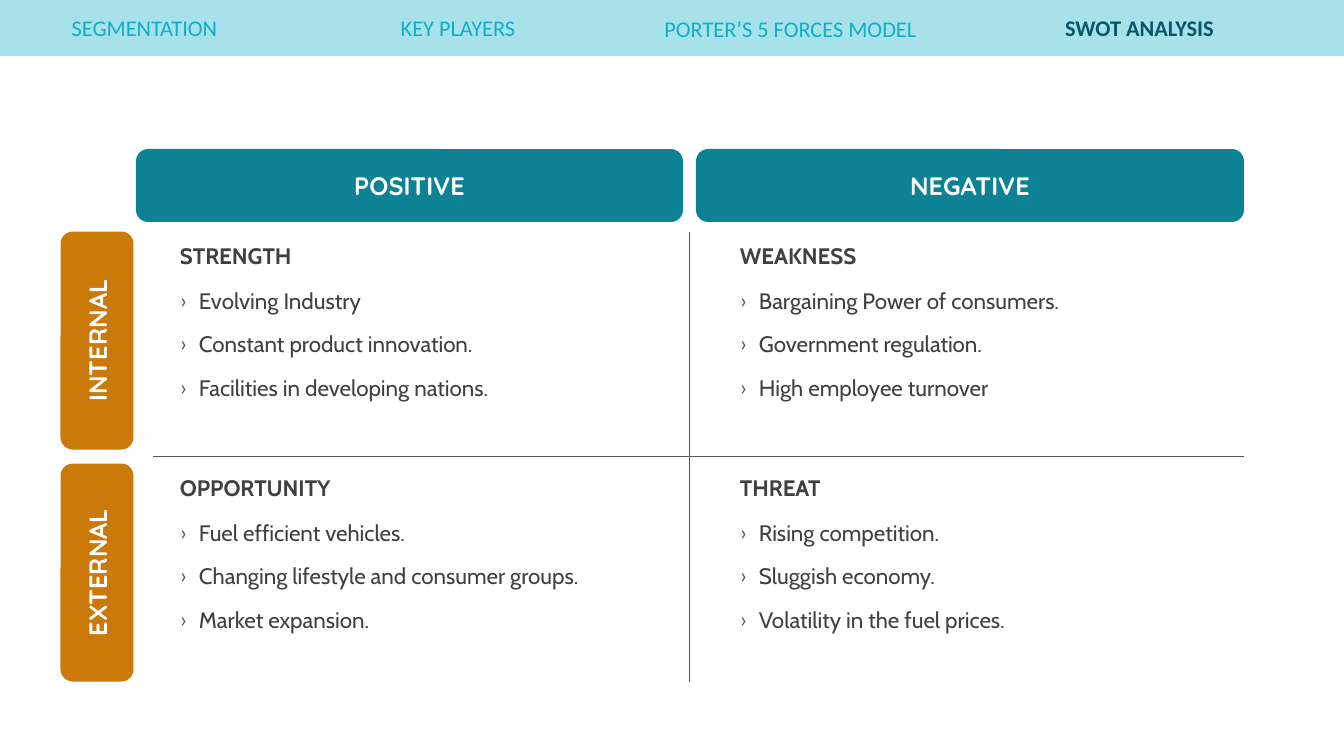
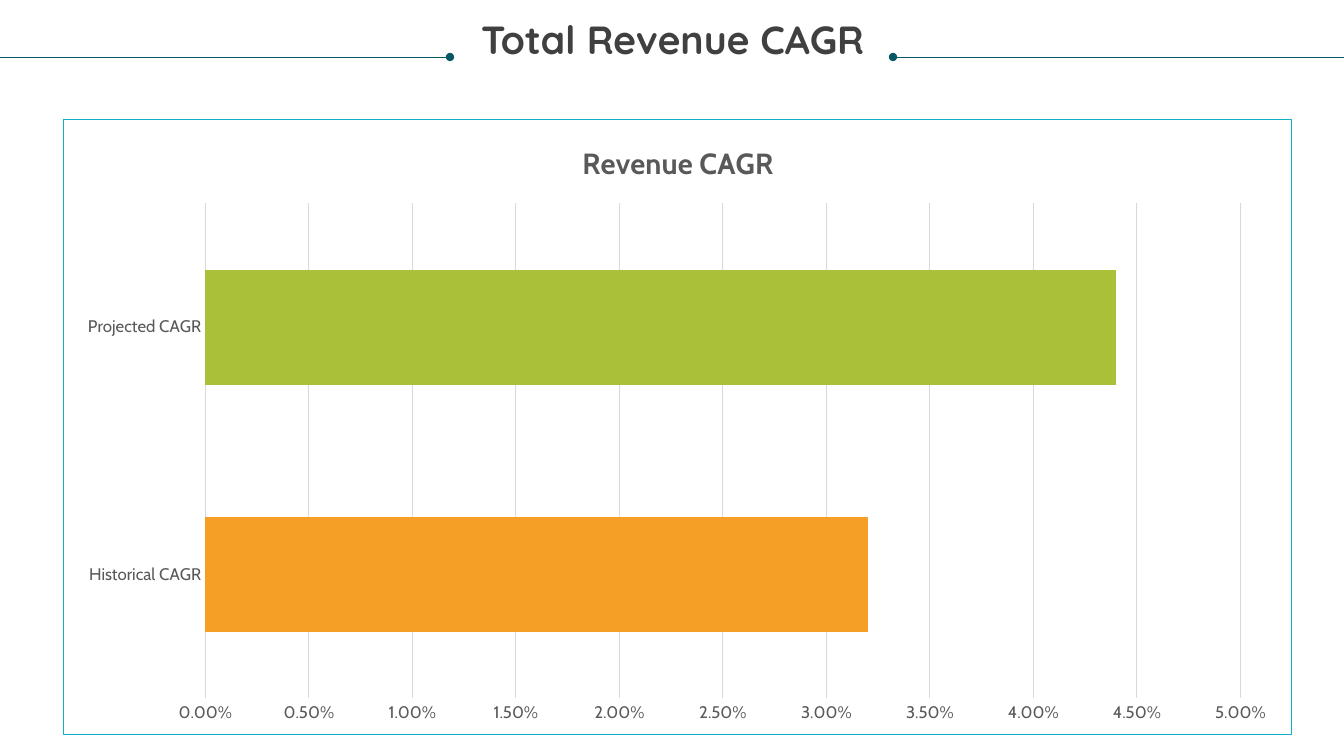
from lxml.etree import SubElement
from pptx import Presentation
from pptx.chart.data import CategoryChartData
from pptx.dml.color import RGBColor
from pptx.enum.chart import XL_CHART_TYPE, XL_TICK_MARK
from pptx.enum.shapes import MSO_CONNECTOR, MSO_SHAPE
from pptx.enum.text import MSO_ANCHOR, MSO_AUTO_SIZE, PP_ALIGN
from pptx.oxml import parse_xml
from pptx.oxml.ns import nsdecls, qn
from pptx.util import Emu, Pt

PIXEL = 914400 / 100.8
WIDTH, HEIGHT = 1344, 756

AQUA = RGBColor(0x11, 0xAE, 0xC7)
TEAL = RGBColor(0x0D, 0x82, 0x95)
DEEP_TEAL = RGBColor(0x08, 0x57, 0x64)
OCHRE = RGBColor(0xCB, 0x7A, 0x09)
ORANGE = RGBColor(0xF5, 0x9F, 0x26)
GREEN = RGBColor(0xA9, 0xC0, 0x38)
INK = RGBColor(0x40, 0x40, 0x40)
RULE_GRAY = RGBColor(0x58, 0x58, 0x58)
CHART_GRAY = RGBColor(0x59, 0x59, 0x59)
GRID_GRAY = RGBColor(0xD9, 0xD9, 0xD9)
WHITE = RGBColor(0xFF, 0xFF, 0xFF)

NAVIGATION_FONT, HEADING_FONT, BODY_FONT = "Calibri", "Quicksand", "Cabin"


def write_text(shape, lines, *, font=BODY_FONT, size=16, color=INK, bold=False,
               align=PP_ALIGN.LEFT, anchor=MSO_ANCHOR.TOP, inset=0, bullet=None):
    """Fill a shape with one formatted paragraph per line."""
    frame = shape.text_frame
    frame.word_wrap = True
    frame.auto_size = MSO_AUTO_SIZE.NONE
    frame.vertical_anchor = anchor
    frame.margin_left = frame.margin_right = Emu(round(2 * inset * PIXEL))
    frame.margin_top = frame.margin_bottom = Emu(round(inset * PIXEL))
    frame.text = "\n".join(lines)
    for paragraph in frame.paragraphs:
        paragraph.alignment = align
        text_font = paragraph.runs[0].font
        text_font.name, text_font.size, text_font.bold = font, Pt(size), bold
        text_font.color.rgb = color
        if bullet:
            paragraph.space_before = Pt(12)
            properties = paragraph._p.get_or_add_pPr()
            indent = round(19 * PIXEL)
            properties.set("marL", str(indent))
            properties.set("indent", str(-indent))
            bullet_color = SubElement(properties, qn("a:buClr"))
            SubElement(bullet_color, qn("a:srgbClr"), val=str(RULE_GRAY))
            SubElement(properties, qn("a:buFont"), typeface=NAVIGATION_FONT)
            SubElement(properties, qn("a:buChar"), char=bullet)


def add_line(slide, start, end, color, tail=None):
    """Draw a thin straight line, with an optional marker at its end."""
    points = [Emu(round(value * PIXEL)) for value in (*start, *end)]
    line = slide.shapes.add_connector(MSO_CONNECTOR.STRAIGHT, *points)
    line.line.color.rgb = color
    line.line.width = Pt(0.5)
    if tail:
        SubElement(line.line._get_or_add_ln(), qn("a:tailEnd"), type=tail)
    SubElement(line._element.spPr, qn("a:effectLst"))


presentation = Presentation()
presentation.slide_width = Emu(round(WIDTH * PIXEL))
presentation.slide_height = Emu(round(HEIGHT * PIXEL))
title_only_layout, blank_layout = presentation.slide_layouts[5], presentation.slide_layouts[6]

# SWOT analysis
swot_slide = presentation.slides.add_slide(blank_layout)
shapes = swot_slide.shapes

band = shapes.add_shape(MSO_SHAPE.RECTANGLE, 0, 0, presentation.slide_width,
                        Emu(round(56 * PIXEL)))
band.shadow.inherit = False
band.fill.solid()
band.fill.fore_color.rgb = AQUA
band.line.fill.background()
band_color = band._element.spPr.find(qn("a:solidFill")).find(qn("a:srgbClr"))
SubElement(band_color, qn("a:alpha"), val="37000")

NAVIGATION = [
    ("SEGMENTATION", 60, 9, 169),
    ("KEY PLAYERS", 288, 9, 340),
    ("PORTER’S 5 FORCES MODEL", 646, 10, 289),
    ("SWOT ANALYSIS", 1001, 9, 277),
]
for label, left, top, width in NAVIGATION:
    current = label == "SWOT ANALYSIS"
    box = shapes.add_textbox(*(Emu(round(value * PIXEL)) for value in (left, top, width, 37)))
    write_text(box, [label], font=NAVIGATION_FONT, color=DEEP_TEAL if current else AQUA,
               bold=current, align=PP_ALIGN.CENTER, inset=5)

HEADERS = [
    ("POSITIVE", (136, 149, 547, 73), TEAL, 0),
    ("NEGATIVE", (696, 149, 548, 73), TEAL, 0),
    ("INTERNAL", (-12, 304, 218, 73), OCHRE, 270),
    ("EXTERNAL", (-12, 536, 218, 73), OCHRE, 270),
]
for label, bounds, color, rotation in HEADERS:
    header = shapes.add_shape(MSO_SHAPE.ROUNDED_RECTANGLE,
                              *(Emu(round(value * PIXEL)) for value in bounds))
    header.rotation = rotation
    header.shadow.inherit = False
    header.fill.solid()
    header.fill.fore_color.rgb = color
    header.line.fill.background()
    write_text(header, [label], font=HEADING_FONT, size=18, color=WHITE, bold=True,
               align=PP_ALIGN.CENTER, anchor=MSO_ANCHOR.MIDDLE, inset=5)

add_line(swot_slide, (153, 456), (1244, 456), RULE_GRAY)
add_line(swot_slide, (689, 232), (689, 682), RULE_GRAY)

QUADRANTS = [
    ("STRENGTH", ["Evolving Industry", "Constant product innovation.",
                  "Facilities in developing nations."]),
    ("WEAKNESS", ["Bargaining Power of consumers.", "Government regulation.",
                  "High employee turnover"]),
    ("OPPORTUNITY", ["Fuel efficient vehicles.", "Changing lifestyle and consumer groups.",
                     "Market expansion."]),
    ("THREAT", ["Rising competition.", "Sluggish economy.", "Volatility in the fuel prices."]),
]
for index, (heading, points) in enumerate(QUADRANTS):
    row, column = divmod(index, 2)
    left, top = 180 + 560 * column, 242 + 232 * row
    heading_box = shapes.add_textbox(
        *(Emu(round(value * PIXEL)) for value in (left, top, 459, 27)))
    write_text(heading_box, [heading], bold=True)
    points_box = shapes.add_textbox(
        *(Emu(round(value * PIXEL)) for value in (left, top + 45, 459, 115)))
    write_text(points_box, points, bullet="›")

# Total revenue CAGR
revenue_slide = presentation.slides.add_slide(title_only_layout)
title = revenue_slide.shapes.title
title.left, title.top, title.width, title.height = (
    Emu(round(value * PIXEL)) for value in (26, 21, 1293, 42))
write_text(title, ["Total Revenue CAGR"], font=HEADING_FONT, size=28, bold=True,
           align=PP_ALIGN.CENTER)
title.text_frame.paragraphs[0].line_spacing = 0.9

for edge, end in ((0, 450), (WIDTH, 893)):
    add_line(revenue_slide, (edge, 57), (end, 57), DEEP_TEAL, tail="oval")

chart_data = CategoryChartData(number_format="0.00%")
chart_data.categories = ["Historical CAGR", "Projected CAGR"]
chart_data.add_series("Series 1", [0.032, 0.044])
CHART_LEFT, CHART_TOP, CHART_WIDTH, CHART_HEIGHT = 63, 119, 1229, 616
chart = revenue_slide.shapes.add_chart(
    XL_CHART_TYPE.BAR_CLUSTERED,
    *(Emu(round(value * PIXEL)) for value in (CHART_LEFT, CHART_TOP, CHART_WIDTH, CHART_HEIGHT)),
    chart_data).chart
chart.has_legend = False
chart.font.name = BODY_FONT
chart.font.size = Pt(10)

chart.has_title = True
chart.chart_title.include_in_layout = False
chart.chart_title.text_frame.text = "Revenue CAGR"
title_font = chart.chart_title.text_frame.paragraphs[0].runs[0].font
title_font.name, title_font.size, title_font.bold = BODY_FONT, Pt(20.8), True
title_font.color.rgb = CHART_GRAY

plot = chart.plots[0]
plot.gap_width, plot.overlap, plot.vary_by_categories = 115, -20, False
series = plot.series[0]
for bar_format, color in ((series.format, GREEN), (series.points[0].format, ORANGE)):
    bar_format.fill.solid()
    bar_format.fill.fore_color.rgb = color

category_axis, value_axis = chart.category_axis, chart.value_axis
for axis in (category_axis, value_axis):
    axis.major_tick_mark = axis.minor_tick_mark = XL_TICK_MARK.NONE
    axis_font = axis.tick_labels.font
    axis_font.name, axis_font.size = BODY_FONT, Pt(12)
    axis_font.color.rgb = CHART_GRAY
category_axis.format.line.color.rgb = GRID_GRAY
category_axis.format.line.width = Pt(1)
value_axis.minimum_scale, value_axis.maximum_scale, value_axis.major_unit = 0, 0.05, 0.005
value_axis.tick_labels.number_format = "0.00%"
value_axis.tick_labels.number_format_is_linked = False
value_axis.format.line.fill.background()
value_axis.major_gridlines.format.line.color.rgb = GRID_GRAY
value_axis.major_gridlines.format.line.width = Pt(0.75)

chart.element.find(qn("c:txPr")).addprevious(parse_xml(
    f'<c:spPr {nsdecls("c", "a")}><a:noFill/><a:ln w="{Pt(0.75)}"><a:solidFill>'
    f'<a:srgbClr val="{AQUA}"/></a:solidFill></a:ln></c:spPr>'))

chart_body = chart.element.find(qn("c:chart"))
LAYOUTS = [
    ("c:title", "c:overlay", {"x": 577 - CHART_LEFT, "y": 137 - CHART_TOP}),
    ("c:plotArea", "c:barChart",
     {"x": 205 - CHART_LEFT, "y": 203 - CHART_TOP, "w": 1036, "h": 496}),
]
for part, follower, lengths in LAYOUTS:
    chart_part = chart_body.find(qn(part))
    for automatic_layout in chart_part.findall(qn("c:layout")):
        chart_part.remove(automatic_layout)
    layout = parse_xml(f'<c:layout {nsdecls("c")}><c:manualLayout/></c:layout>')
    if part == "c:plotArea":
        SubElement(layout[0], qn("c:layoutTarget"), val="inner")
    for axis_name in "xy":
        SubElement(layout[0], qn(f"c:{axis_name}Mode"), val="edge")
    for name, length in lengths.items():
        whole = CHART_WIDTH if name in "xw" else CHART_HEIGHT
        SubElement(layout[0], qn(f"c:{name}"), val=f"{length / whole:.4f}")
    chart_part.find(qn(follower)).addprevious(layout)

presentation.save("out.pptx")
